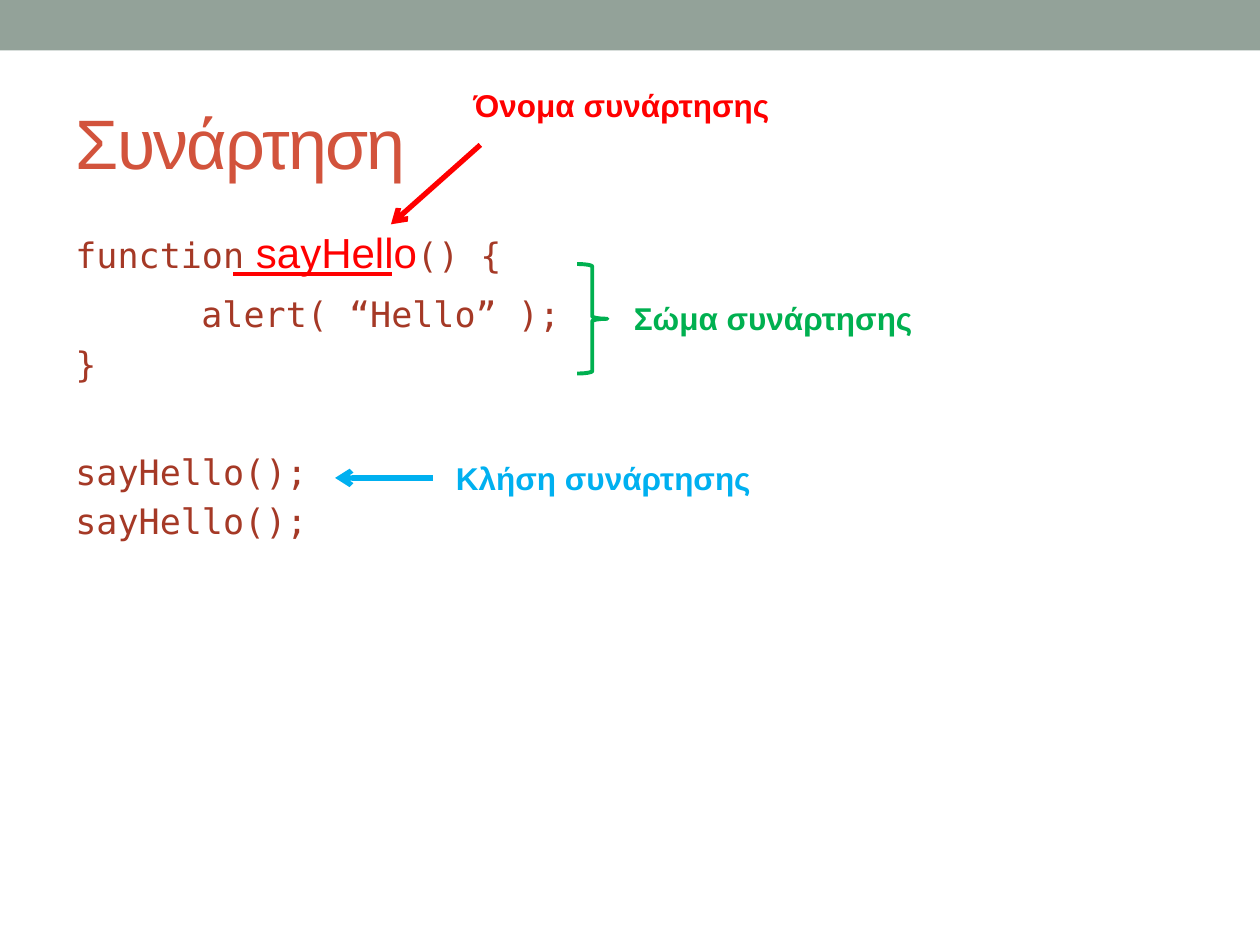
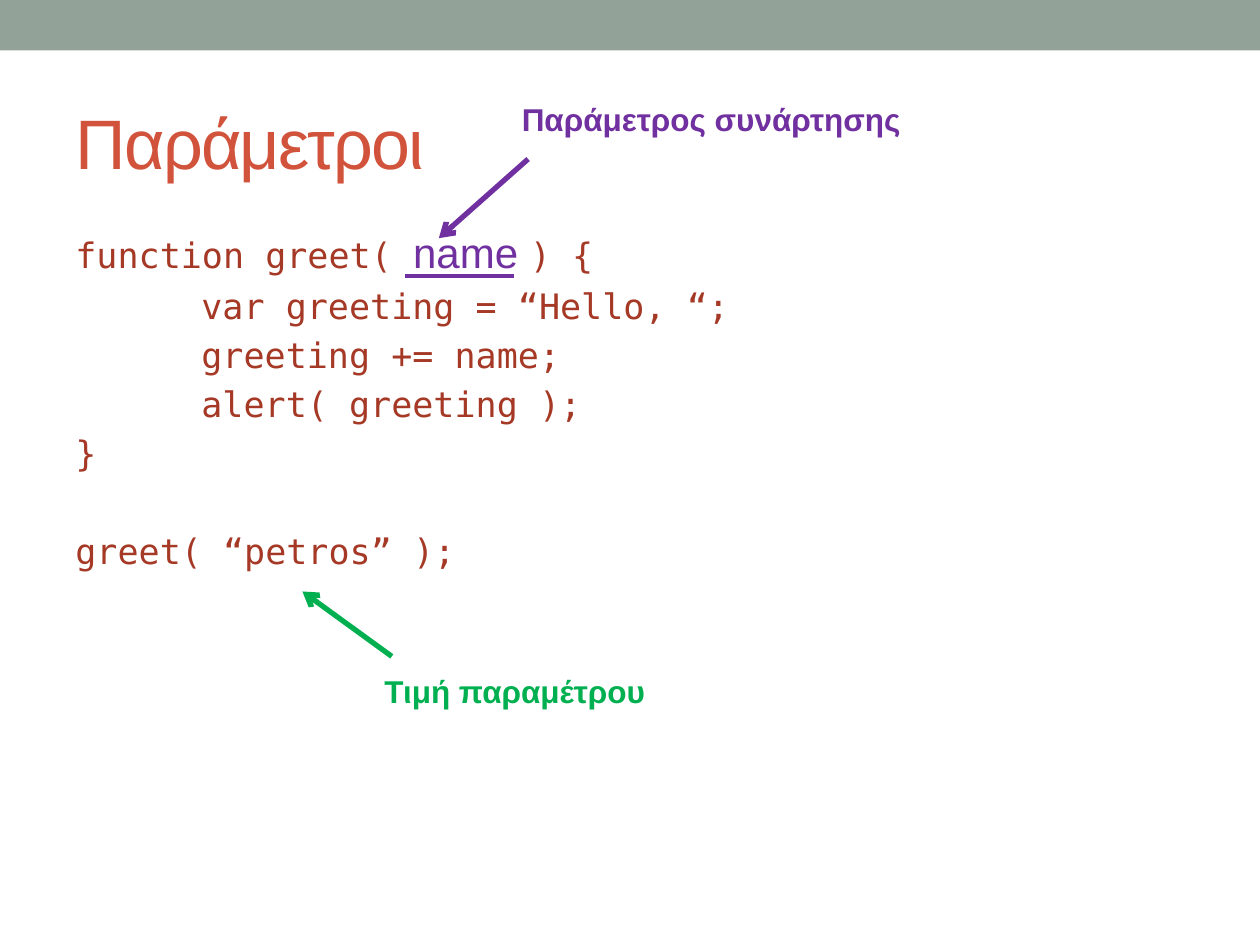
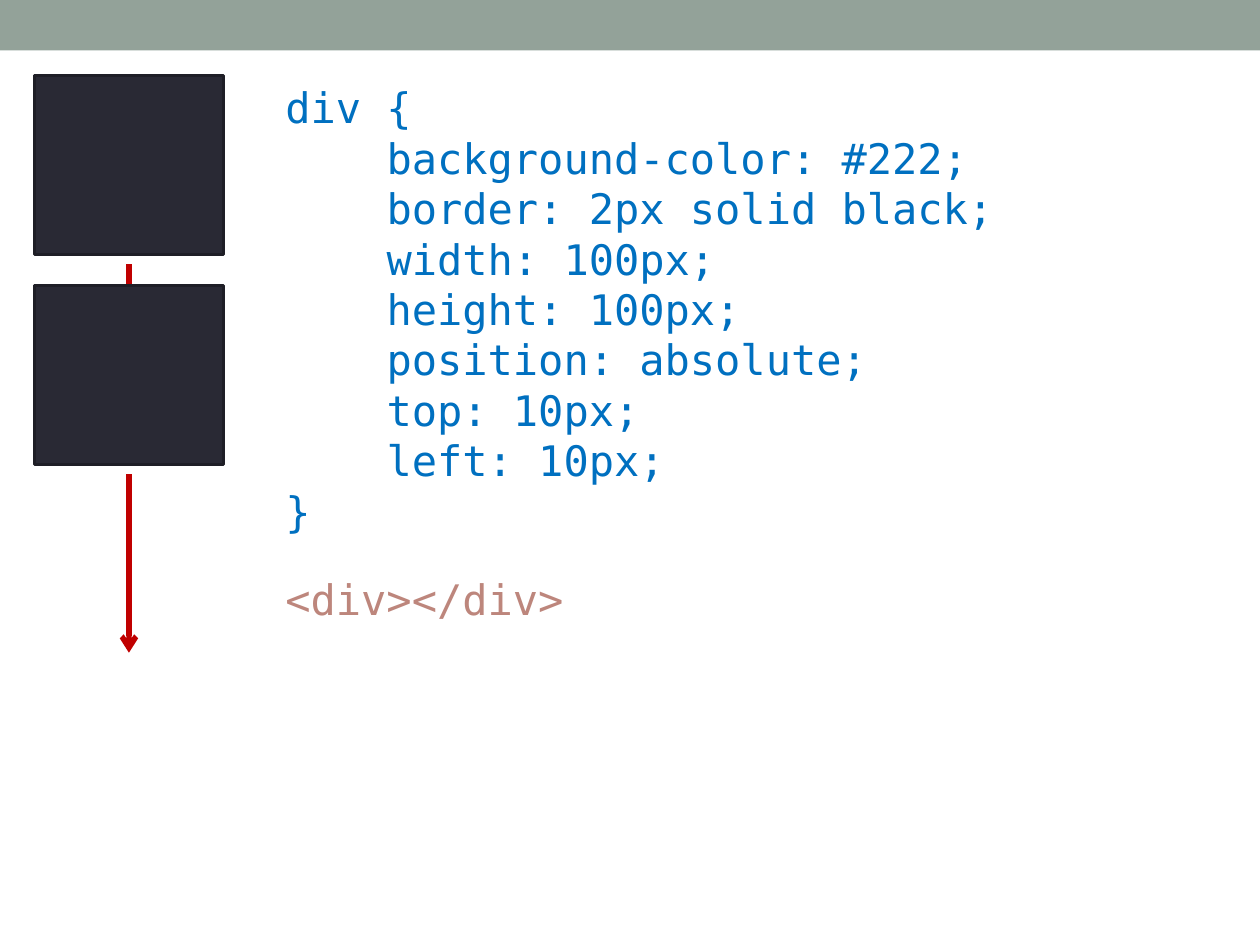
"""Build three slides on functions, parameters and a moving box."""
import lxml.etree
import pptx
import pptx.dml.color
import pptx.enum.shapes
import pptx.enum.text
import pptx.oxml.ns
import pptx.util

Pt = pptx.util.Pt
RGB = pptx.dml.color.RGBColor
KIND = pptx.enum.shapes.MSO_SHAPE
LINK = pptx.enum.shapes.MSO_CONNECTOR
qn = pptx.oxml.ns.qn

SAGE = RGB(0x93, 0xA2, 0x99)
CORAL = RGB(0xD2, 0x53, 0x3C)
RUST = RGB(0xA5, 0x39, 0x26)
ROSE = RGB(0xBD, 0x86, 0x7C)
RED = RGB(0xFF, 0, 0)
CRIMSON = RGB(0xC0, 0, 0)
GREEN = RGB(0, 0xB0, 0x50)
SKY = RGB(0, 0xB0, 0xF0)
BLUE = RGB(0, 0x70, 0xC0)
PURPLE = RGB(0x70, 0x30, 0xA0)
DARK = RGB(0x29, 0x29, 0x34)
EDGE = RGB(0x1E, 0x1E, 0x26)
SANS, MONO = "Arial", "DejaVu Sans Mono"

CODE = (MONO, 20, RUST)
PLAIN = (SANS, 24, DARK)
NAME = (SANS, 24, RED)
PARAM = (SANS, 24, PURPLE)
STYLE = (MONO, 24, BLUE)
MARKUP = (MONO, 24, ROSE)

TOPICS = [
    {
        "title": "Συνάρτηση",
        "code": [
            (4.8, 0, [("function", CODE), (" ", PLAIN), ("sayHello", NAME), ("() {", CODE)]),
            (4.8, 0, [("\t", PLAIN), ("alert( “Hello” );", CODE)]),
            (4, 0, [("}", CODE)]),
            (37.5, 0, [("sayHello();", CODE)]),
            (4, 0, [("sayHello();", CODE)]),
        ],
        "rules": [((133.2, 156.6), (223.9, 156.6), RED)],
        "arrows": [((274.5, 82.8), (223.4, 128.2), RED), ((247.3, 273.1), (191.5, 273.1), SKY)],
        "braces": [(329.8, 150.9, 17.3, 62.6, GREEN)],
        "labels": [
            ("Όνομα συνάρτησης", 263.5, 45.8, 187.2, RED),
            ("Σώμα συνάρτησης", 355.1, 167.4, 187.2, GREEN),
            ("Κλήση συνάρτησης", 253.5, 258.5, 187.2, SKY),
        ],
    },
    {
        "title": "Παράμετροι",
        "code": [
            (4.8, 0, [("function greet( ", CODE), ("name ", PARAM), (") {", CODE)]),
            (4, 0, [("\tvar greeting = “Hello, “;", CODE)]),
            (4, 0, [("\tgreeting += name;", CODE)]),
            (4, 0, [("\talert( greeting );", CODE)]),
            (4, 0, [("}", CODE)]),
            (32, 0, [("greet( “petros” );", CODE)]),
        ],
        "rules": [((231.4, 157.7), (293.8, 157.7), PURPLE)],
        "arrows": [((301.8, 90.9), (250.8, 136.1), PURPLE), ((223.9, 375.1), (172.8, 338), GREEN)],
        "braces": [],
        "labels": [
            ("Παράμετρος συνάρτησης", 291.1, 53.7, 244.8, PURPLE),
            ("Τιμή παραμέτρου", 212.6, 380.2, 244.8, GREEN),
        ],
    },
]
RULES = [
    "background-color: #222;", "border: 2px solid black;", "width: 100px;",
    "height: 100px;", "position: absolute;", "top: 10px;", "left: 10px;",
]
SHEET = (
    [(0, 0, [("div {", STYLE)])]
    + [(0, 57.8, [(rule, STYLE)]) for rule in RULES]
    + [(0, 0, [("}", STYLE)]), (21.6, 0, [("<div></div>", MARKUP)])]
)


def paint(font, face, size, color, bold=False):
    font.name, font.size, font.bold = face, Pt(size), bold
    font.color.rgb = color


def stop(para, place):
    tabs = lxml.etree.SubElement(para._p.get_or_add_pPr(), qn("a:tabLst"))
    lxml.etree.SubElement(tabs, qn("a:tab"), pos=str(Pt(place)), algn="l")


def write(slide, x, y, w, h, lines):
    frame = slide.shapes.add_textbox(Pt(x), Pt(y), Pt(w), Pt(h)).text_frame
    frame.word_wrap = True
    for i, (gap, inset, runs) in enumerate(lines):
        para = frame.add_paragraph() if i else frame.paragraphs[0]
        para.space_before = Pt(gap)
        if inset:
            para._p.get_or_add_pPr().set("marL", str(Pt(inset)))
        if runs[0][0].startswith("\t"):
            stop(para, 72)
        if len({look for text, look in runs}) == 1:
            paint(para.font, *runs[0][1])
        for text, look in runs:
            run = para.add_run()
            run.text = text
            if len(runs) > 1:
                paint(run.font, *look)
    return frame


def label(slide, text, x, y, w, color):
    frame = write(slide, x, y, w, 28.8, [(0, 0, [(text, (SANS, 18, color))])])
    frame.paragraphs[0].font.bold = True


def draw(slide, start, end, color, width, head=False):
    link = slide.shapes.add_connector(LINK.STRAIGHT, *map(Pt, start + end))
    link.line.color.rgb, link.line.width = color, Pt(width)
    if head:
        lxml.etree.SubElement(link.line._get_or_add_ln(), qn("a:tailEnd"), type="arrow")
    lxml.etree.SubElement(link._element.spPr, qn("a:effectLst"))


def form(slide, kind, x, y, w, h, fill=None, edge=None, width=0):
    shape = slide.shapes.add_shape(kind, Pt(x), Pt(y), Pt(w), Pt(h))
    shape.shadow.inherit = False
    if fill is None:
        shape.fill.background()
    else:
        shape.fill.solid()
        shape.fill.fore_color.rgb = fill
    if edge is None:
        shape.line.fill.background()
    else:
        shape.line.color.rgb, shape.line.width = edge, Pt(width)
    return shape


def head(slide, text):
    title = slide.shapes.title
    title.left, title.top, title.width, title.height = map(Pt, (36, 41.8, 648, 77.8))
    frame = title.text_frame
    frame.text = text
    frame.vertical_anchor = pptx.enum.text.MSO_ANCHOR.MIDDLE
    para = frame.paragraphs[0]
    para.alignment = pptx.enum.text.PP_ALIGN.LEFT
    paint(para.font, SANS, 40, CORAL)
    para.runs[0].font._element.set("spc", "-100")


def topic(deck, data):
    slide = deck.slides.add_slide(deck.slide_layouts[5])
    head(slide, data["title"])
    write(slide, 36, 126, 648, 383.8, data["code"])
    for start, end, color in data["rules"]:
        draw(slide, start, end, color, 2.25)
    for start, end, color in data["arrows"]:
        draw(slide, start, end, color, 3, True)
    for x, y, w, h, color in data["braces"]:
        form(slide, KIND.RIGHT_BRACE, x, y, w, h, edge=color, width=2.25)
    for item in data["labels"]:
        label(slide, *item)


def motion(deck):
    slide = deck.slides.add_slide(deck.slide_layouts[6])
    write(slide, 156, 43.2, 550, 342, SHEET)
    for i in range(2):
        top = 43.2 + 120 * i
        form(slide, KIND.RECTANGLE, 19.8, top, 108, 102.2, DARK, EDGE, 2.08)
        draw(slide, (73.7, top + 107.7), (73.7, top + 209.8), CRIMSON, 3, True)


def band(deck):
    bar = form(deck.slides[0], KIND.RECTANGLE, 0, 0, 720, 28.8, SAGE)
    bar._element.nvSpPr.cNvPr.set("id", "99")
    deck.slide_master.shapes._spTree.insert(2, bar._element)


deck = pptx.Presentation()
deck.slide_width, deck.slide_height = Pt(720), Pt(540)
for data in TOPICS:
    topic(deck, data)
motion(deck)
band(deck)
deck.save("out.pptx")
